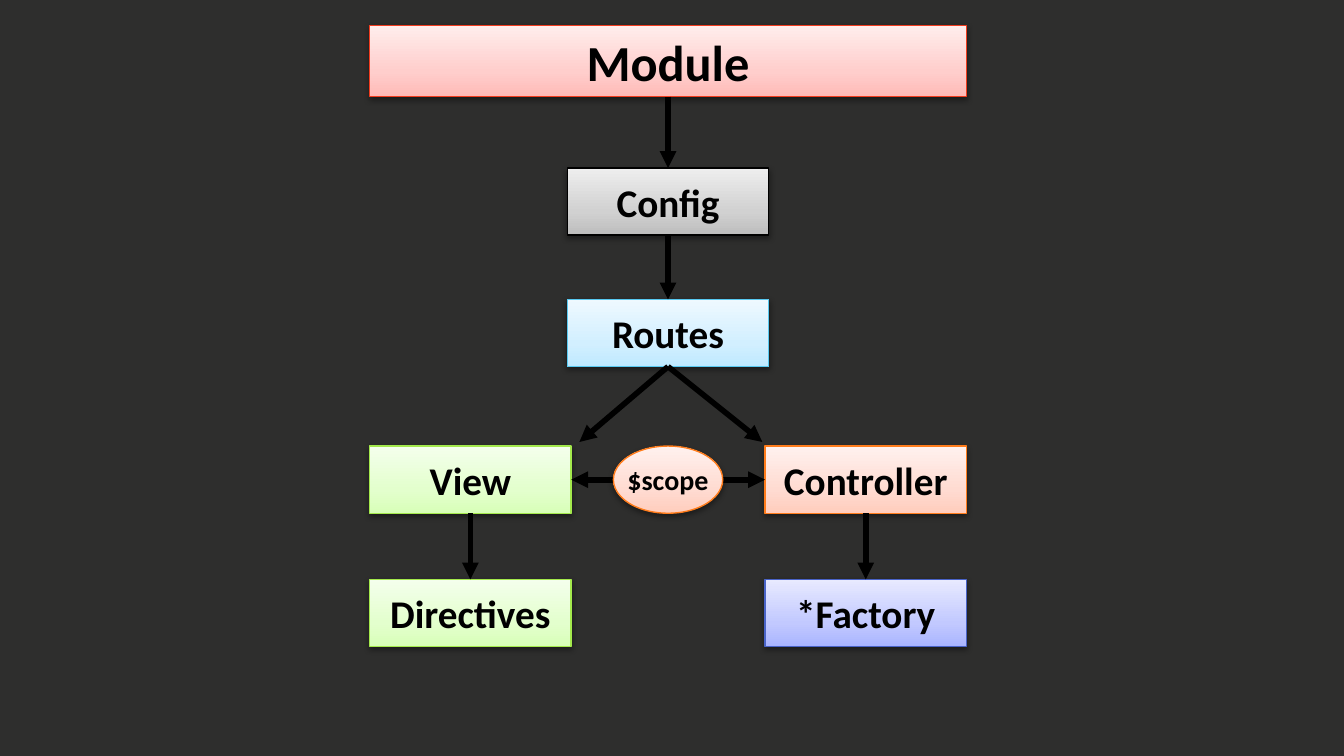
from lxml import etree
from pptx import Presentation
from pptx.dml.color import RGBColor
from pptx.enum import shapes, text
from pptx.oxml.ns import qn
from pptx.util import Pt

BACKGROUND, INK = "2E2E2D", "000000"
BOX_WIDTH, BOX_HEIGHT = 108, 36
LEFT, RIGHT = 198, 409.8
MIDDLE = (LEFT + RIGHT) / 2
FULL_WIDTH = RIGHT + BOX_WIDTH - LEFT
SCOPE_WIDTH = 58.6

GREEN = ("A4E94C", "D8FFB8", "E3FFCD", "F4FFEC")
ORANGE = ("FF7C1B", "FFCDBD", "FFDBD1", "FFF1EE")
BLUE = ("4963C7", "A9B4FF", "C2C9FF", "E8EAFF")
SKY = ("58C9F1", "BFE9FF", "D2EFFF", "EEF9FF")
RED = ("F13C1E", "FFBAB7", "FFCECC", "FFEDEC")
GREY = (INK, "BDBDBD", "D1D1D1", "EEEEEE")

BOXES = [
    ("Module", LEFT, 13.6, FULL_WIDTH, 38.2, 27, RED),
    ("Config", MIDDLE, 90, BOX_WIDTH, BOX_HEIGHT, 21, GREY),
    ("Routes", MIDDLE, 160.4, BOX_WIDTH, BOX_HEIGHT, 21, SKY),
    ("View", LEFT, 239, BOX_WIDTH, BOX_HEIGHT, 21, GREEN),
    ("Controller", RIGHT, 239, BOX_WIDTH, BOX_HEIGHT, 21, ORANGE),
    ("Directives", LEFT, 310.4, BOX_WIDTH, BOX_HEIGHT, 21, GREEN),
    ("*Factory", RIGHT, 310.4, BOX_WIDTH, BOX_HEIGHT, 21, BLUE),
]
SCOPE = ("$scope", MIDDLE + (BOX_WIDTH - SCOPE_WIDTH) / 2, 239,
         SCOPE_WIDTH, BOX_HEIGHT, 15, ORANGE)

TOP, LEFT_SIDE, BOTTOM, RIGHT_SIDE = range(4)
JOINS = [
    ("Module", BOTTOM, "Config", TOP, ["tailEnd"]),
    ("Config", BOTTOM, "Routes", TOP, ["tailEnd"]),
    ("View", BOTTOM, "Directives", TOP, ["tailEnd"]),
    ("Controller", BOTTOM, "*Factory", TOP, ["tailEnd"]),
    ("Controller", LEFT_SIDE, "View", RIGHT_SIDE, ["headEnd", "tailEnd"]),
]
BRANCH_ENDS = [(310.4, 236.8), (408.4, 236.8)]


def color(value):
    return RGBColor.from_string(value)


def add_child(parent, tag, **attributes):
    return etree.SubElement(parent, qn(tag), attributes)


def add_box(slide, kind, label, left, top, width, height, size, palette):
    box = slide.shapes.add_shape(kind, Pt(left), Pt(top), Pt(width), Pt(height))
    outline, *stops = palette
    box.line.color.rgb = color(outline)
    box.line.width = Pt(0.75)
    box.fill.gradient()
    box.fill.gradient_angle = 90
    properties = box._element.spPr
    stop_list = properties.find(qn("a:gradFill")).find(qn("a:gsLst"))
    for old in list(stop_list):
        stop_list.remove(old)
    for position, value in zip((0, 35, 100), stops):
        stop = add_child(stop_list, "a:gs", pos=str(position * 1000))
        add_child(stop, "a:srgbClr", val=value)

    box.shadow.inherit = False
    shadow = add_child(properties.find(qn("a:effectLst")), "a:outerShdw",
                       blurRad=str(Pt(3.1)), dist=str(Pt(1.6)),
                       dir="5400000", rotWithShape="0")
    shade = add_child(shadow, "a:srgbClr", val=INK)
    add_child(shade, "a:alpha", val="38000")

    frame = box.text_frame
    frame.word_wrap = False
    frame.vertical_anchor = text.MSO_ANCHOR.MIDDLE
    para = frame.paragraphs[0]
    para.text = label
    para.alignment = text.PP_ALIGN.CENTER
    para.font.name = "Calibri"
    para.font.size = Pt(size)
    para.font.bold = True
    para.font.color.rgb = color(INK)
    return box


def add_arrow(slide, start, side, ends, target=None, target_side=None, point=(0, 0)):
    arrow = slide.shapes.add_connector(
        shapes.MSO_CONNECTOR.STRAIGHT, 0, 0, Pt(point[0]), Pt(point[1]))
    arrow.begin_connect(start, side)
    if target is not None:
        arrow.end_connect(target, target_side)
    arrow.line.color.rgb = color(INK)
    arrow.line.width = Pt(3)
    for end in ends:
        add_child(arrow.line._get_or_add_ln(), "a:" + end, type="triangle")
    add_child(arrow._element.spPr, "a:effectLst")


def main():
    deck = Presentation()
    deck.slide_width, deck.slide_height = Pt(720), Pt(405)
    slide = deck.slides.add_slide(deck.slide_layouts.get_by_name("Blank"))
    slide.background.fill.solid()
    slide.background.fill.fore_color.rgb = color(BACKGROUND)

    boxes = {row[0]: add_box(slide, shapes.MSO_SHAPE.RECTANGLE, *row) for row in BOXES}
    for start, side, target, target_side, ends in JOINS:
        add_arrow(slide, boxes[start], side, ends, boxes[target], target_side)
    for point in BRANCH_ENDS:
        add_arrow(slide, boxes["Routes"], BOTTOM, ["tailEnd"], point=point)
    add_box(slide, shapes.MSO_SHAPE.OVAL, *SCOPE)
    deck.save("out.pptx")


if __name__ == "__main__":
    main()
